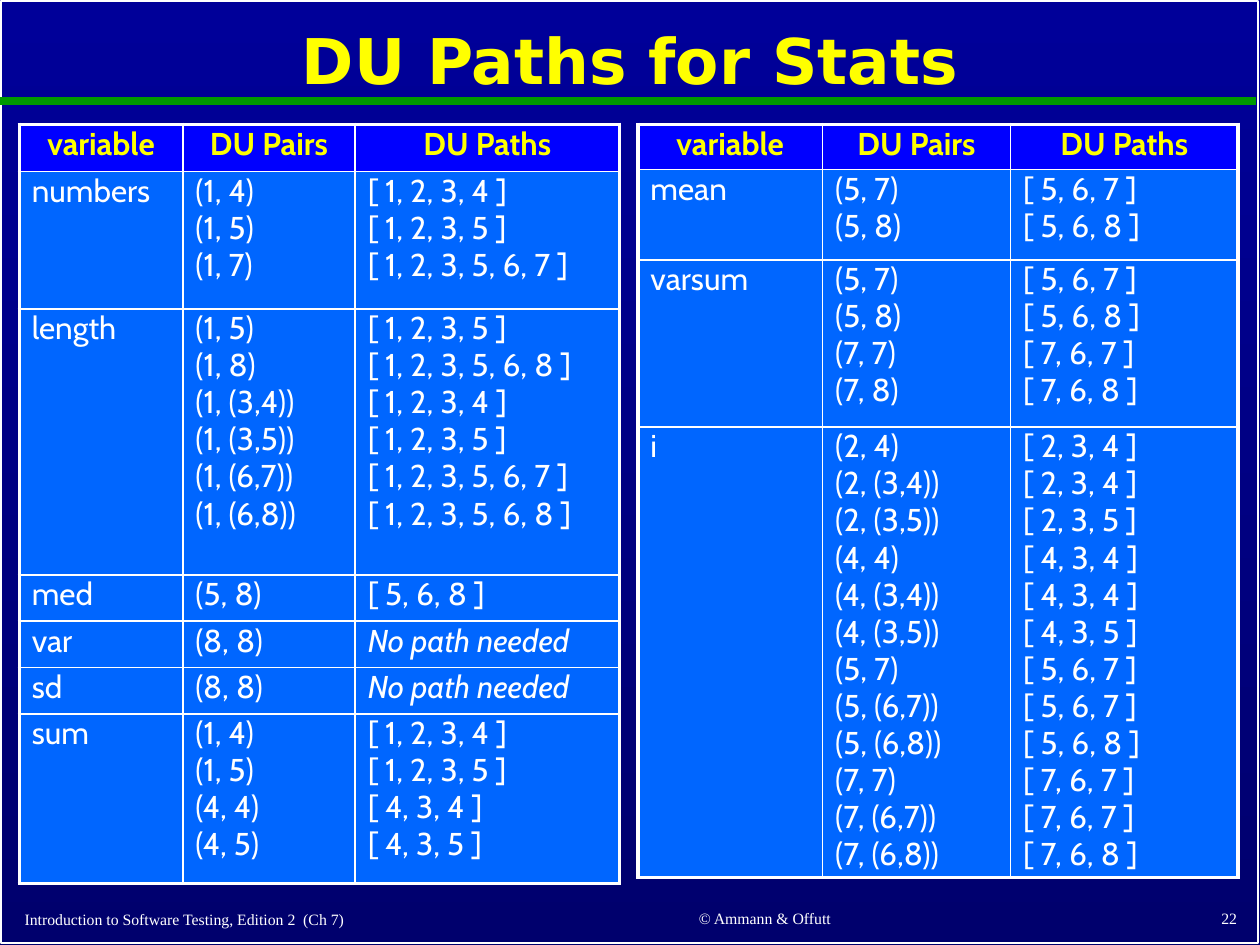
from dataclasses import dataclass
from lxml.etree import SubElement
from pptx import Presentation
from pptx.dml.color import RGBColor
from pptx.enum.shapes import MSO_CONNECTOR, MSO_SHAPE
from pptx.enum.text import MSO_ANCHOR, PP_ALIGN
from pptx.oxml.ns import qn
from pptx.util import Pt


@dataclass(frozen=True)
class Theme:
    """Colours, fonts and sizes of the slide."""
    top: str = "000099"
    base: str = "00006D"
    white: str = "FFFFFF"
    gold: str = "FFFF00"
    green: str = "009900"
    head: str = "0000FF"
    body: str = "0066FF"
    title_font: str = "DejaVu Sans"
    cell_font: str = "Cabin"
    foot_font: str = "Times New Roman"
    title_size: int = 36
    cell_size: int = 18
    foot_size: int = 9
    thin: float = 1
    thick: float = 2.25
    rule: float = 4.5


THEME = Theme()
HEADS = ("variable", "DU Pairs", "DU Paths")
NONE = "No path needed"

# Each row: height, variable, then (pair, path) entries.
LEFT = [
    (78.5, "numbers", [("1, 4", "1, 2, 3, 4"), ("1, 5", "1, 2, 3, 5"),
                       ("1, 7", "1, 2, 3, 5, 6, 7")]),
    (152, "length", [("1, 5", "1, 2, 3, 5"), ("1, 8", "1, 2, 3, 5, 6, 8"),
                     ("1, (3,4)", "1, 2, 3, 4"), ("1, (3,5)", "1, 2, 3, 5"),
                     ("1, (6,7)", "1, 2, 3, 5, 6, 7"),
                     ("1, (6,8)", "1, 2, 3, 5, 6, 8")]),
    (26.5, "med", [("5, 8", "5, 6, 8")]),
    (26.5, "var", [("8, 8", None)]),
    (26.5, "sd", [("8, 8", None)]),
    (97, "sum", [("1, 4", "1, 2, 3, 4"), ("1, 5", "1, 2, 3, 5"),
                 ("4, 4", "4, 3, 4"), ("4, 5", "4, 3, 5")]),
]
RIGHT = [
    (51.5, "mean", [("5, 7", "5, 6, 7"), ("5, 8", "5, 6, 8")]),
    (95.5, "varsum", [("5, 7", "5, 6, 7"), ("5, 8", "5, 6, 8"),
                      ("7, 7", "7, 6, 7"), ("7, 8", "7, 6, 8")]),
    (257.5, "i", [("2, 4", "2, 3, 4"), ("2, (3,4)", "2, 3, 4"),
                  ("2, (3,5)", "2, 3, 5"), ("4, 4", "4, 3, 4"),
                  ("4, (3,4)", "4, 3, 4"), ("4, (3,5)", "4, 3, 5"),
                  ("5, 7", "5, 6, 7"), ("5, (6,7)", "5, 6, 7"),
                  ("5, (6,8)", "5, 6, 8"), ("7, 7", "7, 6, 7"),
                  ("7, (6,7)", "7, 6, 7"), ("7, (6,8)", "7, 6, 8")]),
]


def rgb(code):
    """Turn a hex code into a colour."""
    return RGBColor.from_string(code)


def style(para, face, size, color, bold=False, slant=False):
    """Format every run of a paragraph."""
    for run in para.runs:
        font = run.font
        font.name, font.size = face, Pt(size)
        font.bold, font.italic = bold, slant
        font.color.rgb = rgb(color)


def add_text(slide, box, text, align):
    """Add a one-line text box and return its paragraph."""
    frame = slide.shapes.add_textbox(*map(Pt, box)).text_frame
    frame.word_wrap = True
    frame.vertical_anchor = MSO_ANCHOR.MIDDLE
    para = frame.paragraphs[0]
    para.text, para.alignment = text, align
    return para


def add_back(slide):
    """Paint the gradient, the frame and the rule under the title."""
    fill = slide.background.fill
    fill.gradient()
    fill.gradient_angle = 270
    for stop, code in zip(fill.gradient_stops, (THEME.top, THEME.base)):
        stop.color.rgb = rgb(code)
    frame = slide.shapes.add_shape(
        MSO_SHAPE.RECTANGLE, Pt(0.75), Pt(0.75), Pt(718), Pt(538))
    frame.shadow.inherit = False
    frame.fill.background()
    frame.line.color.rgb = rgb(THEME.white)
    frame.line.width = Pt(THEME.thin)
    rule = slide.shapes.add_connector(
        MSO_CONNECTOR.STRAIGHT, Pt(0), Pt(57.5), Pt(718), Pt(57.5))
    rule.line.color.rgb = rgb(THEME.green)
    rule.line.width = Pt(THEME.rule)
    SubElement(rule.element.spPr, qn("a:effectLst"))


def set_edges(cell, edges):
    """Draw the cell borders; edges maps a side to True if it is outer."""
    props = cell._tc.get_or_add_tcPr()
    for side, outer in edges.items():
        width = Pt(THEME.thick if outer else THEME.thin)
        line = SubElement(props, qn(f"a:ln{side}"), w=str(int(width)))
        fill = SubElement(line, qn("a:solidFill"))
        SubElement(fill, qn("a:srgbClr"), val=THEME.white)


def fill_cell(cell, lines, head):
    """Write the lines of a cell and colour it."""
    cell.fill.solid()
    cell.fill.fore_color.rgb = rgb(THEME.head if head else THEME.body)
    cell.text_frame.text = "\n".join(lines)
    for para in cell.text_frame.paragraphs:
        para.alignment = PP_ALIGN.CENTER if head else PP_ALIGN.LEFT
        para.line_spacing = 0.8
        para.space_before = Pt(0.2 * THEME.cell_size)
        style(para, THEME.cell_font, THEME.cell_size,
              THEME.gold if head else THEME.white,
              bold=head, slant=para.text == NONE)


def add_grid(slide, left, top, widths, head, data):
    """Add a table of variables with their pairs and paths."""
    grid = [[[text] for text in HEADS]]
    for _, name, items in data:
        grid.append([[name], [f"({pair})" for pair, _ in items],
                     [f"[ {way} ]" if way else NONE for _, way in items]])
    highs = [head] + [row[0] for row in data]
    table = slide.shapes.add_table(
        len(grid), len(widths), Pt(left), Pt(top),
        Pt(sum(widths)), Pt(sum(highs))).table
    table.first_row = table.horz_banding = False
    for col, width in zip(table.columns, widths):
        col.width = Pt(width)
    for row, high in zip(table.rows, highs):
        row.height = Pt(high)
    for r, row in enumerate(grid):
        for c, lines in enumerate(row):
            cell = table.cell(r, c)
            set_edges(cell, {"L": c == 0, "R": c == len(widths) - 1,
                             "T": r == 0, "B": r == len(grid) - 1})
            fill_cell(cell, lines, r == 0)


def main():
    """Build the slide and save it."""
    deck = Presentation()
    deck.slide_width, deck.slide_height = Pt(720), Pt(540)
    slide = deck.slides.add_slide(deck.slide_layouts[6])
    add_back(slide)
    feet = [
        ((7, 515.5, 296, 19), "Introduction to Software Testing, Edition 2  (Ch 7)",
         PP_ALIGN.LEFT),
        ((323, 515, 228, 19), "© Ammann & Offutt", PP_ALIGN.CENTER),
        ((564, 515, 150, 19), "22", PP_ALIGN.RIGHT),
    ]
    for box, text, align in feet:
        style(add_text(slide, box, text, align),
              THEME.foot_font, THEME.foot_size, THEME.white)
    title = add_text(slide, (54, 8, 612, 57), "DU Paths for Stats",
                     PP_ALIGN.CENTER)
    title.line_spacing = 0.9
    style(title, THEME.title_font, THEME.title_size, THEME.gold, bold=True)
    add_grid(slide, 11, 71, (93.5, 98.5, 151), 27, LEFT)
    add_grid(slide, 364.5, 71, (105.5, 107.5, 130), 26, RIGHT)
    deck.save("out.pptx")


main()
